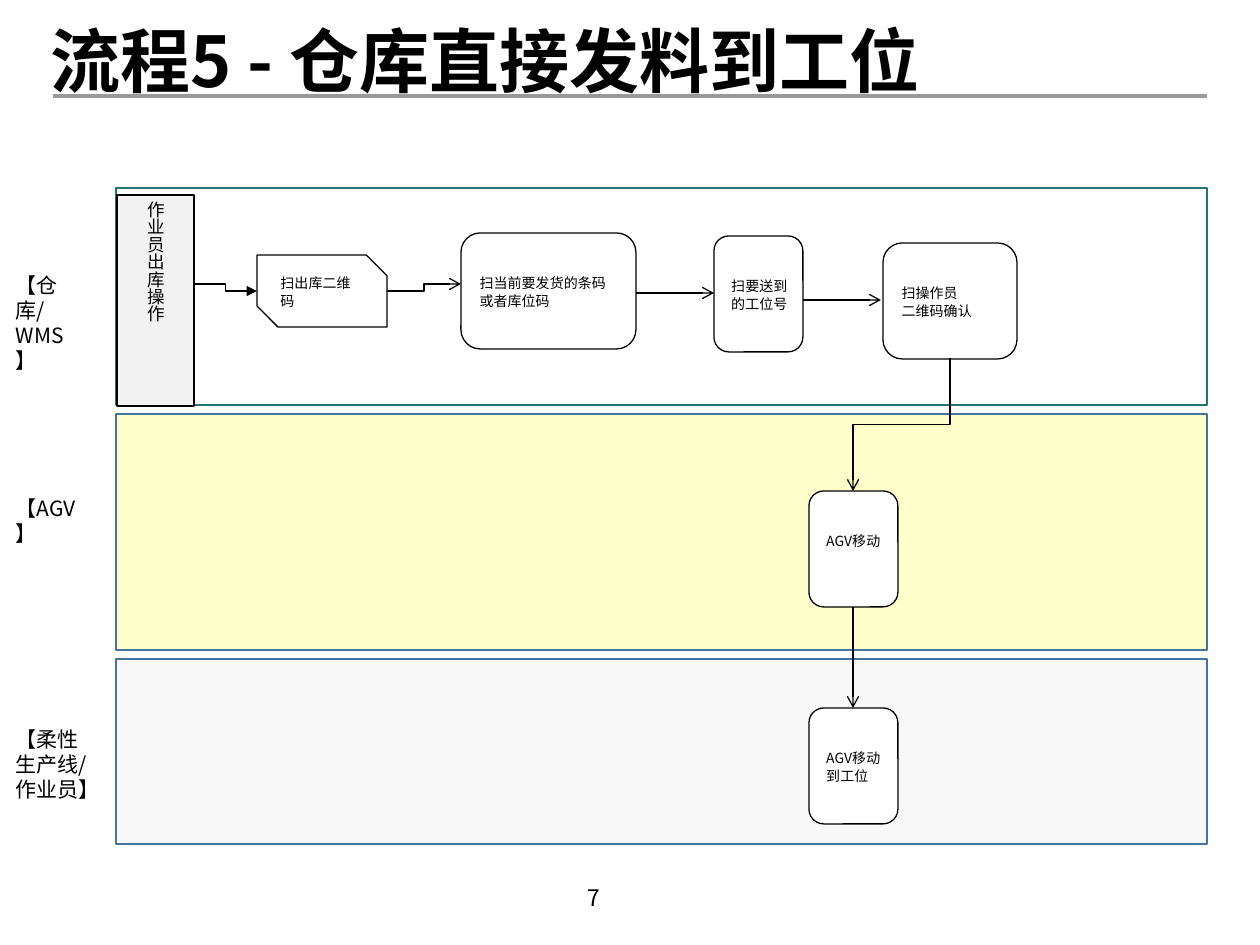
import pptx
import pptx.dml.color
import pptx.enum.shapes
import pptx.enum.text
import pptx.oxml.ns
import pptx.util
from lxml import etree

SHAPE = pptx.enum.shapes.MSO_SHAPE
CONNECTOR = pptx.enum.shapes.MSO_CONNECTOR
ANCHOR = pptx.enum.text.MSO_ANCHOR
ALIGN = pptx.enum.text.PP_ALIGN
qn = pptx.oxml.ns.qn


def px(value):
    return round(value * 914400 / 126)


def color(value):
    return pptx.dml.color.RGBColor.from_string(value)


class FlowSlide:
    black = "000000"
    body_font = "Noto Sans CJK SC"
    label_font = "Noto Sans CJK JP"

    def __init__(self, presentation):
        self.slide = presentation.slides.add_slide(presentation.slide_layouts[5])

    def set_text(self, frame, lines, size, font, insets, anchor, spacing=None, bold=False):
        frame.word_wrap = True
        frame.auto_size = pptx.enum.text.MSO_AUTO_SIZE.NONE
        frame.vertical_anchor = anchor
        frame.margin_left, frame.margin_top, frame.margin_right, frame.margin_bottom = map(px, insets)
        frame.text = "\n".join(lines)
        for paragraph in frame.paragraphs:
            paragraph.alignment = ALIGN.LEFT
            paragraph.space_before = pptx.util.Pt(0)
            if spacing:
                paragraph.line_spacing = spacing
            for run in paragraph.runs:
                run.font.name = font
                properties = run._r.get_or_add_rPr()
                etree.SubElement(properties, qn("a:ea")).set("typeface", font)
            paragraph.font.size = pptx.util.Pt(size)
            paragraph.font.bold = bold
            paragraph.font.color.rgb = color(self.black)

    def title(self, text, left, top, width, height):
        shape = self.slide.shapes.title
        shape.left, shape.top, shape.width, shape.height = map(px, (left, top, width, height))
        self.set_text(shape.text_frame, [text], 40, self.body_font, (0, 0, 0, 0),
                      ANCHOR.MIDDLE, 1.1, True)

    def label(self, lines, left, top, width, height):
        shape = self.slide.shapes.add_textbox(*map(px, (left, top, width, height)))
        self.set_text(shape.text_frame, lines, 12, self.label_font, (13, 6, 13, 6),
                      ANCHOR.TOP, pptx.util.Pt(14.3))

    def page_number(self, text, left, top, width, height):
        shape = self.slide.shapes.add_textbox(*map(px, (left, top, width, height)))
        self.set_text(shape.text_frame, [text], 13, self.label_font, (0, 0, 0, 0), ANCHOR.MIDDLE)

    def box(self, kind, left, top, width, height, fill, line, weight):
        shape = self.slide.shapes.add_shape(kind, *map(px, (left, top, width, height)))
        shape.shadow.inherit = False
        if fill:
            shape.fill.solid()
            shape.fill.fore_color.rgb = color(fill)
        else:
            shape.fill.background()
        shape.line.color.rgb = color(line)
        shape.line.width = pptx.util.Pt(weight)
        return shape

    def lane(self, top, height, fill, line):
        self.box(SHAPE.RECTANGLE, 116, top, 1091, height, fill, line, 1)

    def role(self, text, left, top, width, height):
        shape = self.box(SHAPE.RECTANGLE, left, top, width, height, "F2F2F2", self.black, 0.75)
        self.set_text(shape.text_frame, [text], 10, self.body_font, (13, 6, 13, 6), ANCHOR.MIDDLE)
        shape.text_frame._txBody.bodyPr.set("vert", "eaVert")

    def step(self, lines, left, top, width, height=116, kind=SHAPE.ROUNDED_RECTANGLE,
             right_inset=3, bottom_inset=6):
        shape = self.box(kind, left, top, width, height, "FFFFFF", self.black, 0.75)
        if kind == SHAPE.SNIP_2_DIAG_RECTANGLE:
            shape.adjustments[0] = 0
            shape.adjustments[1] = 0.29
        self.set_text(shape.text_frame, lines, 8, self.body_font,
                      (13, 6, right_inset, bottom_inset), ANCHOR.MIDDLE, pptx.util.Pt(10.3))

    def connector(self, kind, start, end, head=None, line="000000", weight=0.75):
        connector = self.slide.shapes.add_connector(kind, *map(px, start + end))
        connector.line.color.rgb = color(line)
        connector.line.width = pptx.util.Pt(weight)
        properties = connector._element.spPr
        if head:
            outline = properties.find(qn("a:ln"))
            etree.SubElement(outline, qn("a:tailEnd")).set("type", head)
        etree.SubElement(properties, qn("a:effectLst"))
        return connector

    def downward_elbow(self, start, end, head):
        middle_x, middle_y = (start[0] + end[0]) / 2, (start[1] + end[1]) / 2
        half_run, half_drop = (start[0] - end[0]) / 2, (end[1] - start[1]) / 2
        connector = self.connector(
            CONNECTOR.ELBOW,
            (middle_x - half_drop, middle_y - half_run),
            (middle_x + half_drop, middle_y + half_run), head)
        connector._element.spPr.find(qn("a:xfrm")).set("rot", "5400000")


def main():
    presentation = pptx.Presentation()
    presentation.slide_width, presentation.slide_height = px(1260), px(945)
    flow = FlowSlide(presentation)

    flow.connector(CONNECTOR.STRAIGHT, (53, 96), (1207, 96), line="999999", weight=2.25)
    flow.title("流程5 - 仓库直接发料到工位", 51, 13, 1148, 85)
    flow.page_number("7", 588, 876, 80, 42)

    flow.lane(188, 217, None, "267373")
    flow.lane(414, 236, "FFFFCC", "43739E")
    flow.lane(659, 185, "F8F8F8", "43739E")
    flow.label(["【仓库/", "WMS】"], 3, 267, 84, 112)
    flow.label(["【AGV】"], 3, 490, 104, 62)
    flow.label(["【柔性", "生产线/", "作业员】"], 3, 721, 113, 90)

    flow.role("作业员出库操作", 117, 195, 77, 211)
    flow.step(["扫出库二维码"], 257, 255, 130, 72, SHAPE.SNIP_2_DIAG_RECTANGLE, right_inset=16)
    flow.step(["扫当前要发货的条码", "或者库位码"], 461, 233, 175)
    flow.step(["扫要送到", "的工位号"], 714, 236, 89)
    flow.step(["扫操作员", "二维码确认"], 883, 243, 134)
    flow.step(["AGV移动"], 809, 491, 89, bottom_inset=24)
    flow.step(["AGV移动", "到工位"], 809, 708, 89)

    flow.connector(CONNECTOR.ELBOW, (194, 284), (257, 291), "triangle")
    flow.connector(CONNECTOR.ELBOW, (387, 291), (461, 284), "arrow")
    for start, end in [((636, 293), (714, 293)), ((803, 300), (881, 300)),
                       ((853, 607), (853, 708))]:
        flow.connector(CONNECTOR.STRAIGHT, start, end, "arrow")
    flow.downward_elbow((950, 358), (853, 491), "arrow")

    presentation.save("out.pptx")


if __name__ == "__main__":
    main()
